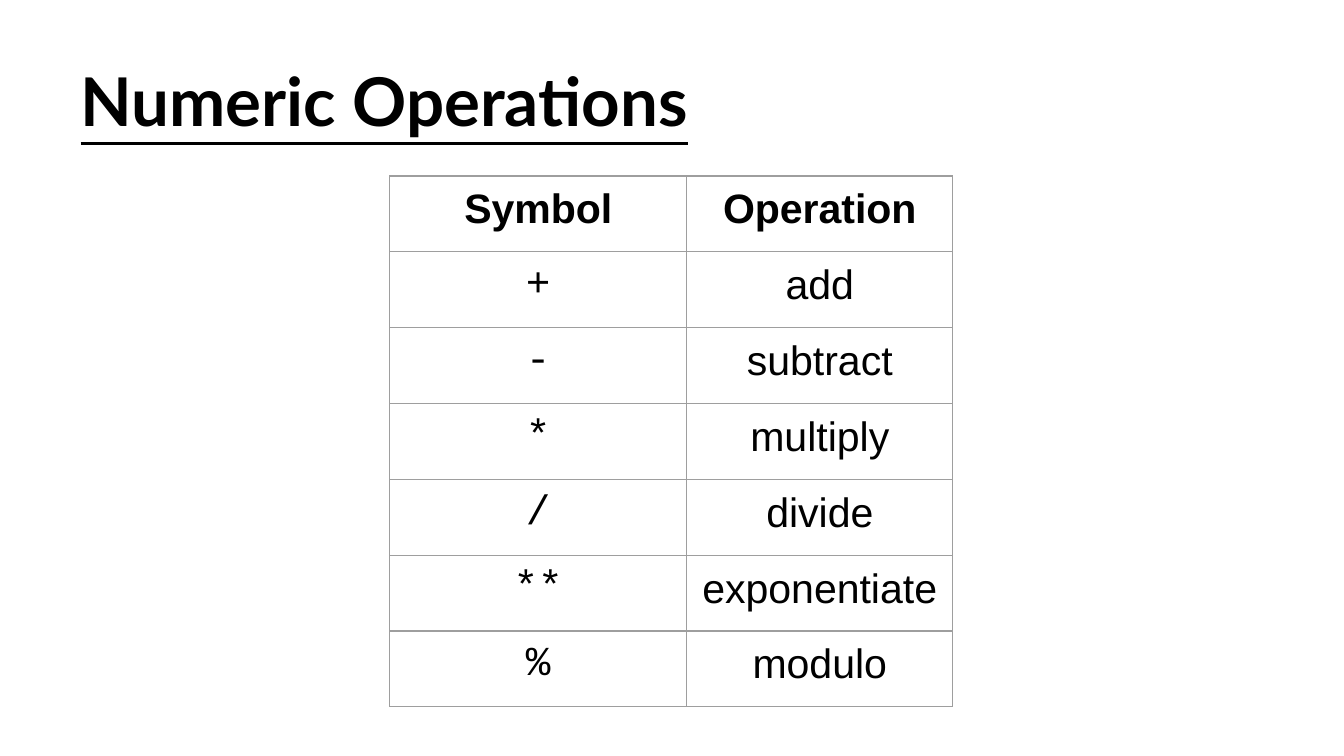
from typing import NamedTuple

from lxml.etree import SubElement as Sub
from pptx import Presentation
from pptx.dml.color import RGBColor as Rgb
from pptx.enum.text import MSO_ANCHOR as Anchor, PP_ALIGN as Align
from pptx.oxml.ns import qn
from pptx.util import Inches, Pt

WIDE = 10
HIGH = WIDE * 9 / 16
HUES = {"ink": "000000", "rule": "9E9E9E"}
COLS = (2.21, 1.98)
TALL = 3.95
HEAD = {"name": "Lato", "size": Pt(36), "bold": True, "underline": True}
BODY = {"name": "Arial", "size": Pt(22), "bold": False}
BOLD = BODY | {"bold": True}
CODE = BODY | {"name": "Courier New"}


class Row(NamedTuple):
    """One table row: a symbol and its meaning."""
    sign: str
    word: str
    looks: tuple[dict, dict] = (CODE, BODY)


ROWS = [
    Row("Symbol", "Operation", (BOLD, BOLD)),
    Row("+", "add"),
    Row("-", "subtract"),
    Row("*", "multiply"),
    Row("/", "divide"),
    Row("**", "exponentiate"),
    Row("%", "modulo"),
]


def apply(item, vals: dict) -> None:
    """Set every attribute named in vals."""
    for key, val in vals.items():
        setattr(item, key, val)


def pad(item, left: float, top: float) -> None:
    """Set the inner margins, in inches."""
    apply(item, {"margin_left": Inches(left), "margin_top": Inches(top),
                 "margin_right": 0, "margin_bottom": 0})


def write(frame, text: str, look: dict, align: Align) -> None:
    """Put one formatted run in a text frame."""
    para = frame.paragraphs[0]
    para.alignment = align
    run = para.add_run()
    run.text = text
    apply(run.font, look)
    run.font.color.rgb = Rgb.from_string(HUES["ink"])


def edge(cell) -> None:
    """Draw a thin line on all four sides of a cell."""
    props = cell._tc.get_or_add_tcPr()
    for n, side in enumerate(("lnL", "lnR", "lnT", "lnB")):
        line = props.makeelement(qn(f"a:{side}"), {"w": str(Pt(0.75))})
        fill = Sub(line, qn("a:solidFill"))
        Sub(fill, qn("a:srgbClr"), val=HUES["rule"])
        props.insert(n, line)


def title(slide, text: str) -> None:
    """Add the underlined heading."""
    box = slide.shapes.add_textbox(
        Inches(0.47), Inches(0.43), Inches(9.07), Inches(0.63))
    frame = box.text_frame
    apply(frame, {"word_wrap": True, "vertical_anchor": Anchor.TOP})
    pad(frame, 0.13, 0.01)
    write(frame, text, HEAD, Align.LEFT)


def grid(slide, rows: list[Row]) -> None:
    """Add the table of operations."""
    table = slide.shapes.add_table(
        len(rows), len(COLS), Inches(2.9), Inches(1.31),
        Inches(sum(COLS)), Inches(TALL)).table
    apply(table, {"first_row": False, "horz_banding": False})
    for col, width in zip(table.columns, COLS):
        col.width = Inches(width)
    for r, row in enumerate(rows):
        table.rows[r].height = Inches(TALL / len(rows))
        for c, text in enumerate((row.sign, row.word)):
            cell = table.cell(r, c)
            cell.fill.background()
            pad(cell, 0, 0.08)
            edge(cell)
            write(cell.text_frame, text, row.looks[c], Align.CENTER)


def main() -> None:
    """Build and save the slide."""
    deck = Presentation()
    apply(deck, {"slide_width": Inches(WIDE), "slide_height": Inches(HIGH)})
    slide = deck.slides.add_slide(deck.slide_layouts[6])
    title(slide, "Numeric Operations")
    grid(slide, ROWS)
    deck.save("out.pptx")


main()
